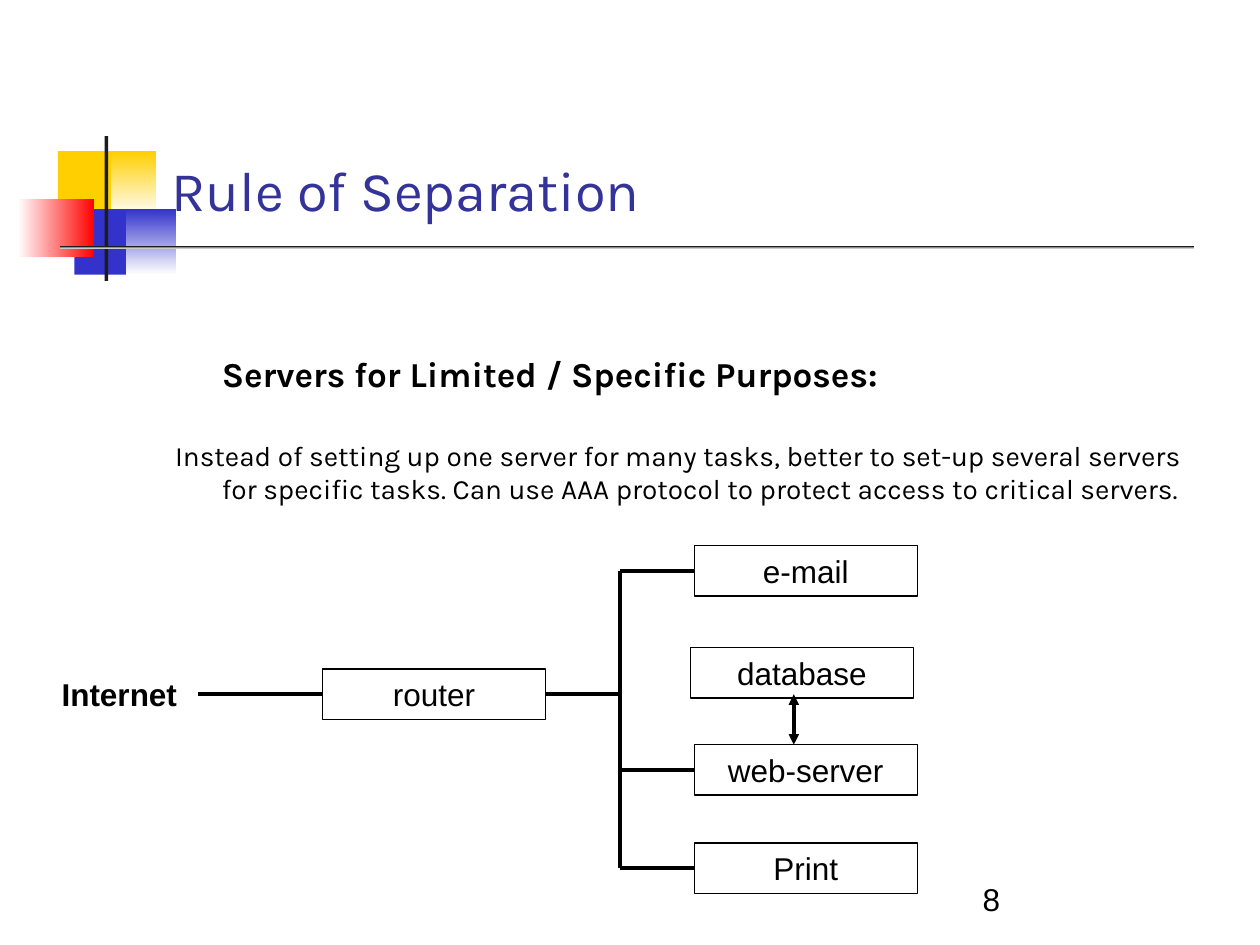
from lxml import etree
from pptx import Presentation
from pptx import util as u
from pptx.dml.color import RGBColor
from pptx.enum import shapes, text
from pptx.oxml import ns

Inches, Pt = u.Inches, u.Pt
COLORS = {
    "yellow": "FFCF01", "blue": "3333CC", "red": "FF0000", "white": "FFFFFF",
    "charcoal": "1C1C1C", "title": "333399", "ink": "000000",
}


def color(name):
    """Return the named palette colour."""
    return RGBColor.from_string(COLORS[name])


def set_font(paragraph, face, size, ink="ink", bold=False):
    """Format all the text of a paragraph."""
    font = paragraph.font
    font.name, font.size, font.bold = face, Pt(size), bold
    font.color.rgb = color(ink)


def set_frame(frame, anchor, top=0.05, wrap=True):
    """Set the insets, anchor and wrapping of a text frame."""
    frame.margin_left = frame.margin_right = Inches(0.1)
    frame.margin_top, frame.margin_bottom = Inches(top), Inches(0.05)
    frame.vertical_anchor = anchor
    frame.auto_size = text.MSO_AUTO_SIZE.NONE
    frame.word_wrap = wrap


def place(placeholder, box):
    """Move a placeholder to a box and bring it to the front."""
    placeholder.left, placeholder.top, placeholder.width, placeholder.height = map(Inches, box)
    placeholder.element.getparent().append(placeholder.element)


def add_rect(slide, box):
    """Add a rectangle without shadow."""
    rect = slide.shapes.add_shape(shapes.MSO_SHAPE.RECTANGLE, *map(Inches, box))
    rect.shadow.inherit = False
    return rect


def add_ornament(slide, left, top):
    """Draw the coloured squares and the rules beside the title."""
    tiles = [
        ((0.32, 0.12, 0.48, 0.52), ["yellow"], 0),
        ((0.74, 0.12, 0.36, 0.52), ["white", "yellow"], 90),
        ((0.45, 0.58, 0.46, 0.52), ["blue"], 0),
        ((0.86, 0.58, 0.4, 0.52), ["white", "blue"], 90),
        ((0, 0.5, 0.61, 0.46), ["red", "white"], 180),
        ((0.69, 0, 0.03, 1.15), ["charcoal"], 0),
        ((0.34, 0.87, 9, 0.03), ["white", "charcoal"], 90),
    ]
    for (x, y, width, height), tones, angle in tiles:
        tile = add_rect(slide, (left + x, top + y, width, height))
        tile.line.fill.background()
        if len(tones) == 1:
            tile.fill.solid()
            tile.fill.fore_color.rgb = color(tones[0])
            continue
        tile.fill.gradient()
        tile.fill.gradient_angle = angle
        for position, (stop, tone) in enumerate(zip(tile.fill.gradient_stops, tones)):
            stop.position = position
            stop.color.rgb = color(tone)


def add_title(slide, box):
    """Fill the title placeholder."""
    title = slide.shapes.title
    place(title, box)
    set_frame(title.text_frame, text.MSO_ANCHOR.BOTTOM, 0.06)
    heading = title.text_frame.paragraphs[0]
    heading.text = "Rule of Separation"
    heading.alignment = text.PP_ALIGN.LEFT
    heading.line_spacing = 0.98
    set_font(heading, "Karla", 32, "title")


def add_body(slide, box):
    """Fill the body placeholder with a bold lead and its explanation."""
    body = slide.placeholders[1]
    place(body, box)
    frame = body.text_frame
    set_frame(frame, text.MSO_ANCHOR.TOP, 0.66)
    rows = [
        ("Servers for Limited / Specific Purposes:", 20, True, 0, 0.78, 0, 18),
        ("Instead of setting up one server for many tasks, better to set-up several "
         "servers for specific tasks. Can use AAA protocol to protect access to "
         "critical servers.", 16, False, -0.37, 0.98, 8, 0),
    ]
    for index, (words, size, bold, indent, spacing, before, after) in enumerate(rows):
        paragraph = frame.add_paragraph() if index else frame.paragraphs[0]
        paragraph.text = words
        paragraph.line_spacing = spacing
        paragraph.space_before, paragraph.space_after = Pt(before), Pt(after)
        set_font(paragraph, "Karla", size, bold=bold)
        properties = paragraph.font._element.getparent()
        properties.set("marL", str(Inches(0.37)))
        properties.set("indent", str(Inches(indent)))
        properties.insert_element_before(
            etree.SubElement(properties, ns.qn("a:buNone")), "a:tabLst", "a:defRPr")


def add_label(slide, box, words, anchor=text.MSO_ANCHOR.TOP, bold=False, wrap=True):
    """Add a plain text label."""
    label = slide.shapes.add_textbox(*map(Inches, box))
    set_frame(label.text_frame, anchor, wrap=wrap)
    paragraph = label.text_frame.paragraphs[0]
    paragraph.text = words
    set_font(paragraph, "Arial", 18, bold=bold)


def add_node(slide, left, top, words):
    """Add an outlined network node."""
    node = add_rect(slide, (left, top, 1.77, 0.4))
    node.fill.background()
    node.line.color.rgb = color("ink")
    node.line.width = Pt(0)
    set_frame(node.text_frame, text.MSO_ANCHOR.TOP)
    paragraph = node.text_frame.paragraphs[0]
    paragraph.text = words
    paragraph.alignment = text.PP_ALIGN.CENTER
    set_font(paragraph, "Arial", 18)


def add_link(slide, start, end, arrows=False):
    """Connect two points with a thin line."""
    link = slide.shapes.add_connector(
        shapes.MSO_CONNECTOR.STRAIGHT, *map(Inches, (*start, *end)))
    link.line.color.rgb = color("ink")
    link.line.width = Pt(0)
    if arrows:
        outline = link.line._get_or_add_ln()
        for side in ("a:headEnd", "a:tailEnd"):
            etree.SubElement(outline, ns.qn(side), type="triangle")
    etree.SubElement(link.element.spPr, ns.qn("a:effectLst"))


def add_network(slide, left, top):
    """Draw the path from the Internet through the router to the servers."""
    server_x, bus_x, router_x = left + 5.12, left + 4.53, left + 2.17
    middle = top + 1.18
    add_node(slide, router_x, top + 0.98, "router")
    add_node(slide, server_x - 0.03, top + 0.81, "database")
    branches = []
    for drop, name in ((0, "e-mail"), (1.58, "web-server"), (2.36, "Print")):
        add_node(slide, server_x, top + drop, name)
        branches.append(top + drop + 0.2)
    add_link(slide, (left + 5.91, middle), (left + 5.91, top + 1.58), arrows=True)
    add_link(slide, (bus_x, branches[0]), (bus_x, branches[-1]))
    for y in branches:
        add_link(slide, (bus_x, y), (server_x, y))
    add_label(slide, (left, top + 0.98, 1.11, 0.4), "Internet", bold=True, wrap=False)
    add_link(slide, (router_x + 1.77, middle), (bus_x, middle))
    add_link(slide, (left + 1.18, middle), (router_x, middle))


def main():
    """Build and save the slide."""
    deck = Presentation()
    deck.slide_width, deck.slide_height = Inches(10), Inches(7.5)
    slide = deck.slides.add_slide(deck.slide_layouts[1])
    add_ornament(slide, 0.14, 1.08)
    add_title(slide, (1.26, 0.23, 8.52, 1.6))
    add_body(slide, (1.29, 2.21, 8.5, 4.5))
    add_network(slide, 0.39, 4.33)
    add_label(slide, (7.7, 6.83, 2.08, 0.5), "8", text.MSO_ANCHOR.BOTTOM)
    deck.save("out.pptx")


if __name__ == "__main__":
    main()
